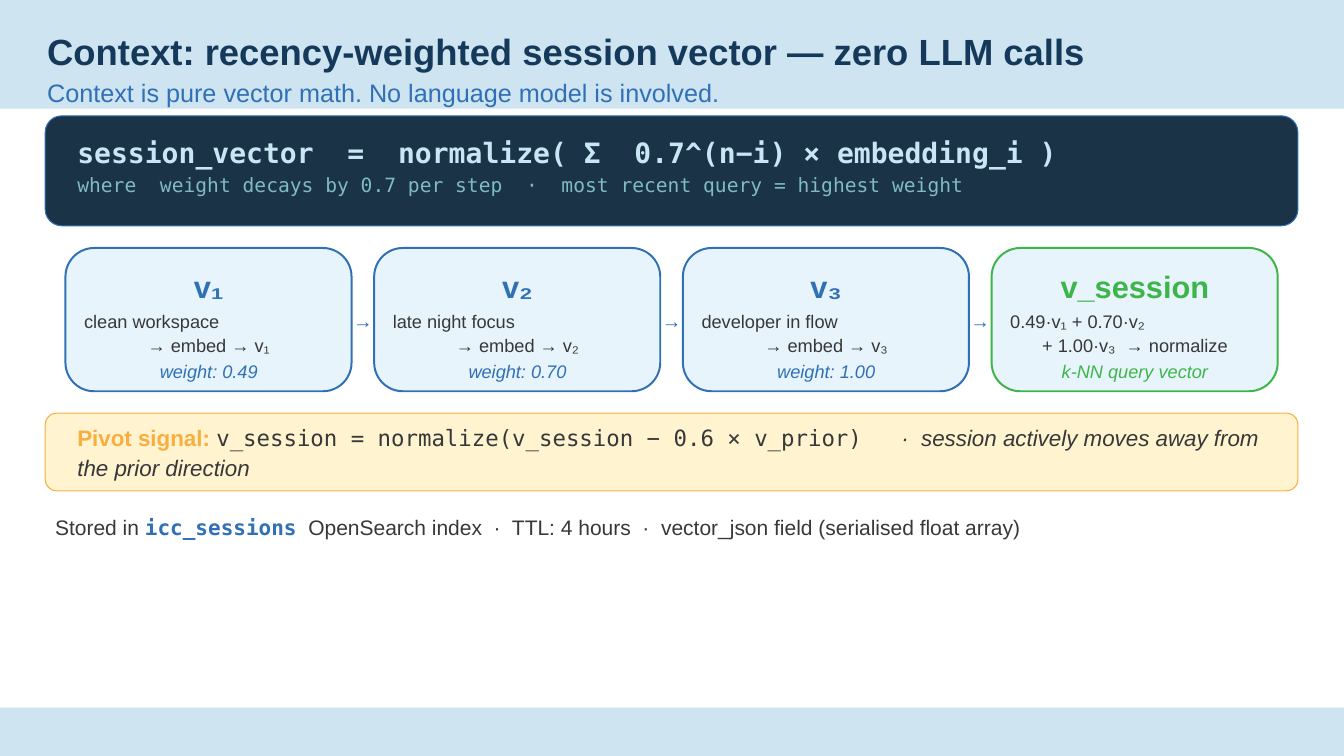
from pptx import Presentation
from pptx import util as u
from pptx.dml.color import RGBColor
from pptx.enum import shapes, text

COLORS = {
    "sky": "CEE4F1", "white": "FFFFFF", "navy": "15395A", "blue": "3070B5",
    "panel": "1A3347", "formula": "C8E6F4", "teal": "7FBBC0", "card": "E8F4FB",
    "green": "3EB54A", "ink": "373839", "cream": "FFF3D0", "orange": "FBAE40",
}
SANS, MONO = "Arial", "DejaVu Sans Mono"
LEFT, CENTER = text.PP_ALIGN.LEFT, text.PP_ALIGN.CENTER
CARD_WIDTH, CARD_PITCH = 7.21, 7.78
TIGHT = dict(margin_left=0, margin_right=0, margin_top=0, margin_bottom=0,
             word_wrap=False, vertical_anchor=text.MSO_ANCHOR.MIDDLE)


def run(words, size, color, name=SANS, **font):
    """Describe one run of text."""
    return words, color, dict(size=u.Pt(size), name=name, **font)


def line(*runs, align=LEFT, before=0):
    """Describe one paragraph made of runs."""
    return runs, dict(alignment=align, space_before=u.Pt(before), line_spacing=1.1)


class SlideBuilder:
    def __init__(self, slide, colors):
        self.slide = slide
        self.colors = {key: RGBColor.from_string(value) for key, value in colors.items()}

    def background(self, color):
        fill = self.slide.background.fill
        fill.solid()
        fill.fore_color.rgb = self.colors[color]

    def box(self, left, top, width, height, fill, border=None, weight=0.75, corner=None):
        kind = shapes.MSO_SHAPE.ROUNDED_RECTANGLE if corner else shapes.MSO_SHAPE.RECTANGLE
        shape = self.slide.shapes.add_shape(kind, *map(u.Cm, (left, top, width, height)))
        shape.shadow.inherit = False
        shape.fill.solid()
        shape.fill.fore_color.rgb = self.colors[fill]
        if corner:
            shape.adjustments[0] = corner
        if border:
            shape.line.color.rgb = self.colors[border]
            shape.line.width = u.Pt(weight)
        else:
            shape.line.fill.background()

    def text(self, left, top, width, height, *lines, **frame_format):
        shape = self.slide.shapes.add_textbox(*map(u.Cm, (left, top, width, height)))
        frame = shape.text_frame
        for key, value in {"word_wrap": True, **frame_format}.items():
            setattr(frame, key, value)
        for index, (runs, layout) in enumerate(lines):
            paragraph = frame.add_paragraph() if index else frame.paragraphs[0]
            for key, value in layout.items():
                setattr(paragraph, key, value)
            for words, color, font in runs:
                part = paragraph.add_run()
                part.text = words
                part.font.color.rgb = self.colors[color]
                for key, value in font.items():
                    setattr(part.font, key, value)

    def card(self, left, heading, first, second, note, accent):
        self.box(left, 6.25, CARD_WIDTH, 3.61, "card", accent, 1.42, 0.2)
        self.text(left + 0.22, 6.53, 6.78, 1.12,
                  line(run(heading, 22, accent, bold=True), align=CENTER))
        self.text(left + 0.22, 7.65, 6.78, 1.68,
                  line(run(first, 13, "ink")),
                  line(run(second, 13, "ink"), align=CENTER),
                  line(run(note, 13, accent, italic=True), align=CENTER, before=1))

    def arrow(self, left):
        self.text(left, 7.77, CARD_PITCH - CARD_WIDTH, 0.56,
                  line(run("→", 14, "blue", bold=True), align=CENTER), **TIGHT)


def main():
    presentation = Presentation()
    presentation.slide_width, presentation.slide_height = u.Cm(33.87), u.Cm(19.05)
    slide = presentation.slides.add_slide(presentation.slide_layouts[6])
    builder = SlideBuilder(slide, COLORS)

    # Background and heading
    builder.background("sky")
    builder.box(0, 2.74, 33.87, 15.09, "white")
    builder.text(
        0.94, 0.5, 30.1, 1.52,
        line(run("Context: recency-weighted session vector — zero LLM calls",
                 26, "navy", bold=True)),
        line(run("Context is pure vector math. No language model is involved.",
                 18, "blue"), before=1))

    # Formula panel
    builder.box(1.14, 2.92, 31.57, 2.77, "panel", "blue", corner=0.15)
    builder.text(
        1.7, 3.2, 30.48, 2.21,
        line(run("session_vector  =  normalize( Σ  0.7^(n−i) × embedding_i )",
                 20, "formula", MONO, bold=True)),
        line(run("where  weight decays by 0.7 per step  ·  most recent query = highest weight",
                 14, "teal", MONO), before=1.5))

    # Vector cards with an arrow in each gap
    cards = [
        ("v₁", "clean workspace", "→ embed → v₁", "weight: 0.49", "blue"),
        ("v₂", "late night focus", "→ embed → v₂", "weight: 0.70", "blue"),
        ("v₃", "developer in flow", "→ embed → v₃", "weight: 1.00", "blue"),
        ("v_session", "0.49·v₁ + 0.70·v₂", "+ 1.00·v₃  → normalize",
         "k-NN query vector", "green"),
    ]
    for index, card in enumerate(cards):
        left = 1.65 + index * CARD_PITCH
        builder.card(left, *card)
        if index < len(cards) - 1:
            builder.arrow(left + CARD_WIDTH)

    # Pivot signal
    builder.box(1.14, 10.41, 31.57, 1.96, "cream", "orange", corner=0.15)
    builder.text(
        1.7, 10.5, 30.48, 1.4,
        line(run("Pivot signal: ", 16, "orange", bold=True),
             run("v_session = normalize(v_session − 0.6 × v_prior)  ", 16, "ink", MONO),
             run("  ·  session actively moves away from the prior direction",
                 16, "ink", italic=True)))

    # Storage note
    builder.text(
        1.14, 12.78, 31.57, 1.12,
        line(run("Stored in ", 15, "ink"),
             run("icc_sessions", 15, "blue", MONO, bold=True),
             run("  OpenSearch index  ·  TTL: 4 hours  ·  "
                 "vector_json field (serialised float array)", 15, "ink")))

    presentation.save("out.pptx")


if __name__ == "__main__":
    main()
